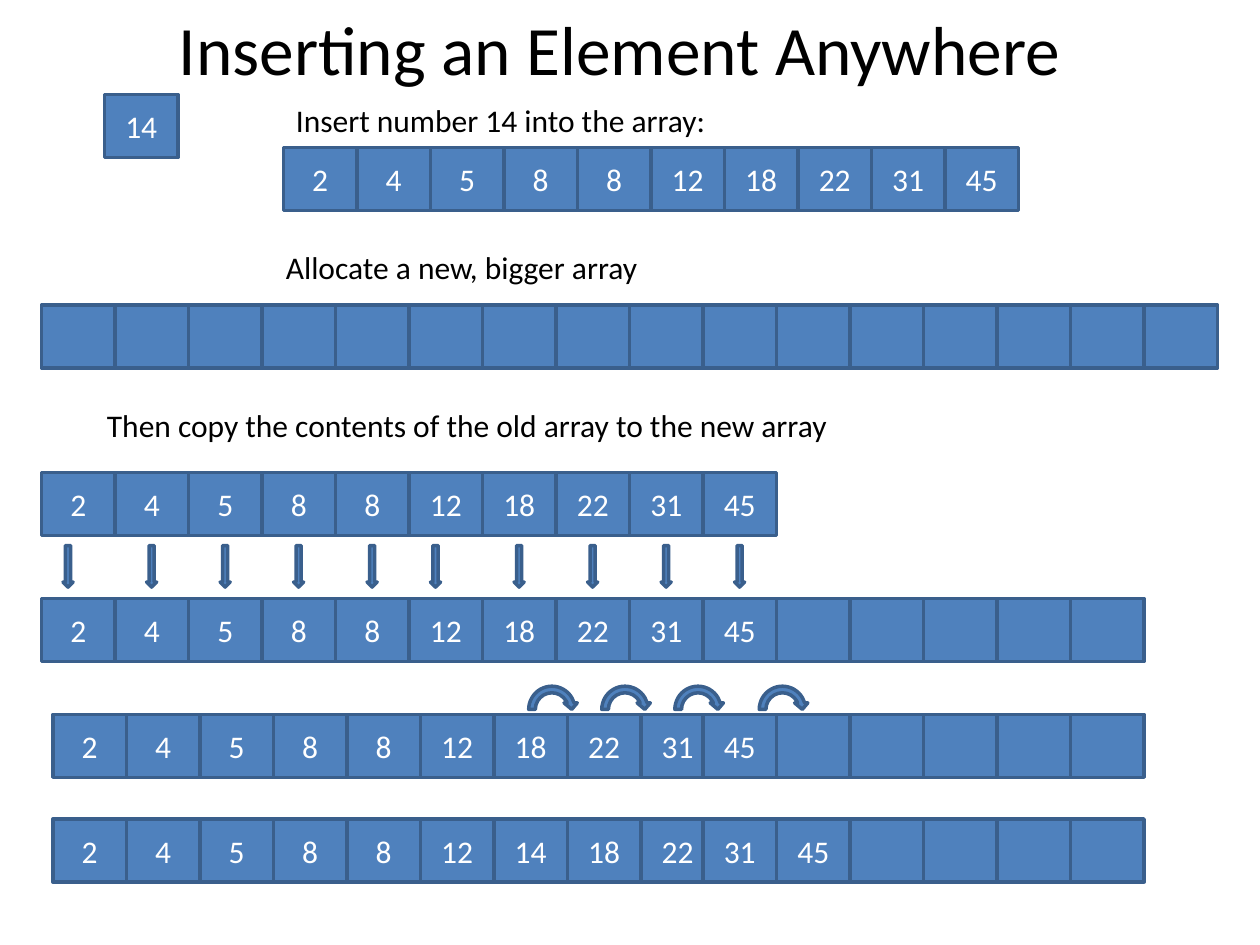
from dataclasses import dataclass

from pptx import Presentation
from pptx import util as u
from pptx.dml import color
from pptx.enum import shapes, text

CELL_WIDTH = 7 / 12
CELL_HEIGHT = 0.5
BLUE, EDGE, WHITE, BLACK = "4F81BD", "3A5F8C", "FFFFFF", "000000"
NUMBERS = (2, 4, 5, 8, 8, 12, 18, 22, 31, 45)
NUDGED_ARROWS = (0, 5)
NUDGE = 0.08


@dataclass
class Label:
    left: float
    top: float
    width: float
    words: str
    height: float = 0.4
    size: float = 18
    centered: bool = False


@dataclass
class CellRow:
    left: float
    top: float
    values: tuple = ()
    count: int = 0
    grouped: bool = False


LABELS = [
    Label(0.42, 0.17, 9, "Inserting an Element Anywhere", 0.42, 39.6, True),
    Label(2.25, 0.75, 3.49, "Insert number 14 into the array:"),
    Label(2.17, 1.92, 3.02, "Allocate a new, bigger array"),
    Label(0.75, 3.17, 5.99, "Then copy the contents of the old array to the new array"),
]

ROWS = [
    CellRow(0.83, 0.75, (14,)),
    CellRow(2.25, 1.17, NUMBERS, grouped=True),
    CellRow(0.33, 2.42, count=16),
    CellRow(0.33, 3.75, NUMBERS, grouped=True),
    CellRow(0.33, 4.75, NUMBERS, 15),
    CellRow(0.42, 5.67, NUMBERS[:9]),
    CellRow(5.58, 5.67, NUMBERS[9:], 6),
    CellRow(0.42, 6.5, NUMBERS[:6] + (14, 18, 22)),
    CellRow(5.58, 6.5, (31, 45), 6),
]


def rgb(value: str) -> color.RGBColor:
    return color.RGBColor.from_string(value)


def apply(target, values: dict) -> None:
    for name, value in values.items():
        setattr(target, name, value)


def write(shape, words: str, size: float, ink: str, alignment) -> None:
    paragraph = shape.text_frame.paragraphs[0]
    paragraph.alignment = alignment
    run = paragraph.add_run()
    run.text = words
    apply(run.font, {"name": "Calibri", "size": u.Pt(size)})
    run.font.color.rgb = rgb(ink)


def add_label(slide, label: Label) -> None:
    box = slide.shapes.add_textbox(
        u.Inches(label.left), u.Inches(label.top),
        u.Inches(label.width), u.Inches(label.height))
    if label.centered:
        frame_format = {"word_wrap": True, "vertical_anchor": text.MSO_ANCHOR.MIDDLE}
        alignment = text.PP_ALIGN.CENTER
    else:
        frame_format = {"word_wrap": False,
                        "auto_size": text.MSO_AUTO_SIZE.SHAPE_TO_FIT_TEXT}
        alignment = text.PP_ALIGN.LEFT
    apply(box.text_frame, frame_format)
    write(box, label.words, label.size, BLACK, alignment)


def add_blue(container, kind, left: float, top: float, width: float, height: float):
    shape = container.add_shape(
        kind, u.Inches(left), u.Inches(top), u.Inches(width), u.Inches(height))
    shape.shadow.inherit = False
    shape.fill.solid()
    shape.fill.fore_color.rgb = rgb(BLUE)
    shape.line.color.rgb = rgb(EDGE)
    shape.line.width = u.Pt(2)
    return shape


def add_row(slide, row: CellRow) -> None:
    container = slide.shapes.add_group_shape().shapes if row.grouped else slide.shapes
    for index in range(max(row.count, len(row.values))):
        cell = add_blue(container, shapes.MSO_SHAPE.RECTANGLE,
                        row.left + index * CELL_WIDTH, row.top, CELL_WIDTH, CELL_HEIGHT)
        if index < len(row.values):
            cell.text_frame.vertical_anchor = text.MSO_ANCHOR.MIDDLE
            write(cell, str(row.values[index]), 18, WHITE, text.PP_ALIGN.CENTER)


def main() -> None:
    presentation = Presentation()
    apply(presentation, {"slide_width": u.Inches(10), "slide_height": u.Inches(7.5)})
    slide = presentation.slides.add_slide(presentation.slide_layouts[6])
    for label in LABELS:
        add_label(slide, label)
    for row in ROWS:
        add_row(slide, row)
    for index in range(len(NUMBERS)):
        left = 0.58 + index * CELL_WIDTH - NUDGE * (index in NUDGED_ARROWS)
        add_blue(slide.shapes, shapes.MSO_SHAPE.DOWN_ARROW, left, 4.33, 0.08, 0.33)
    for left in (6, 5.33, 4.75, 4.17):
        add_blue(slide.shapes, shapes.MSO_SHAPE.CIRCULAR_ARROW, left, 5.42, 0.42, 0.42)
    presentation.save("out.pptx")


if __name__ == "__main__":
    main()
